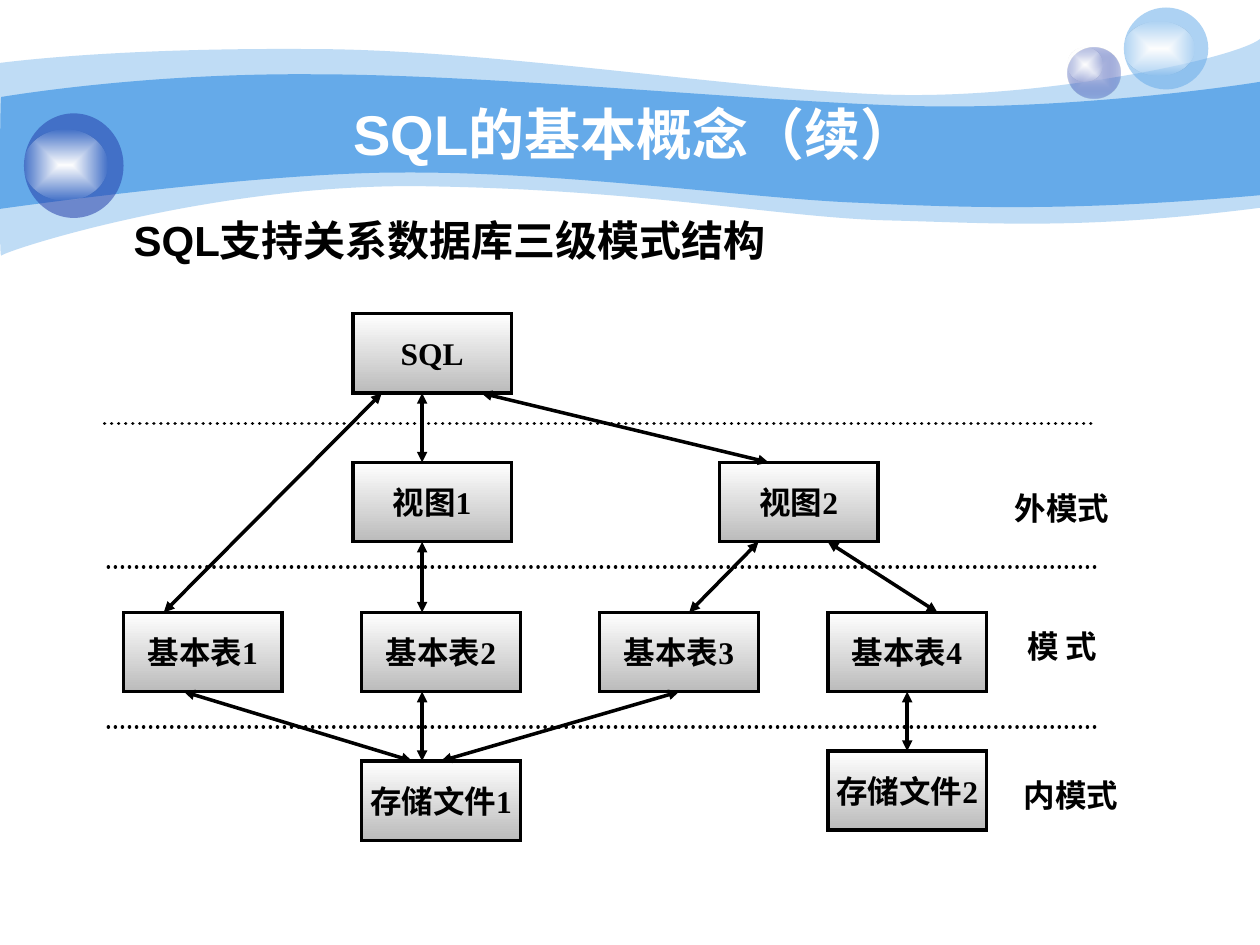
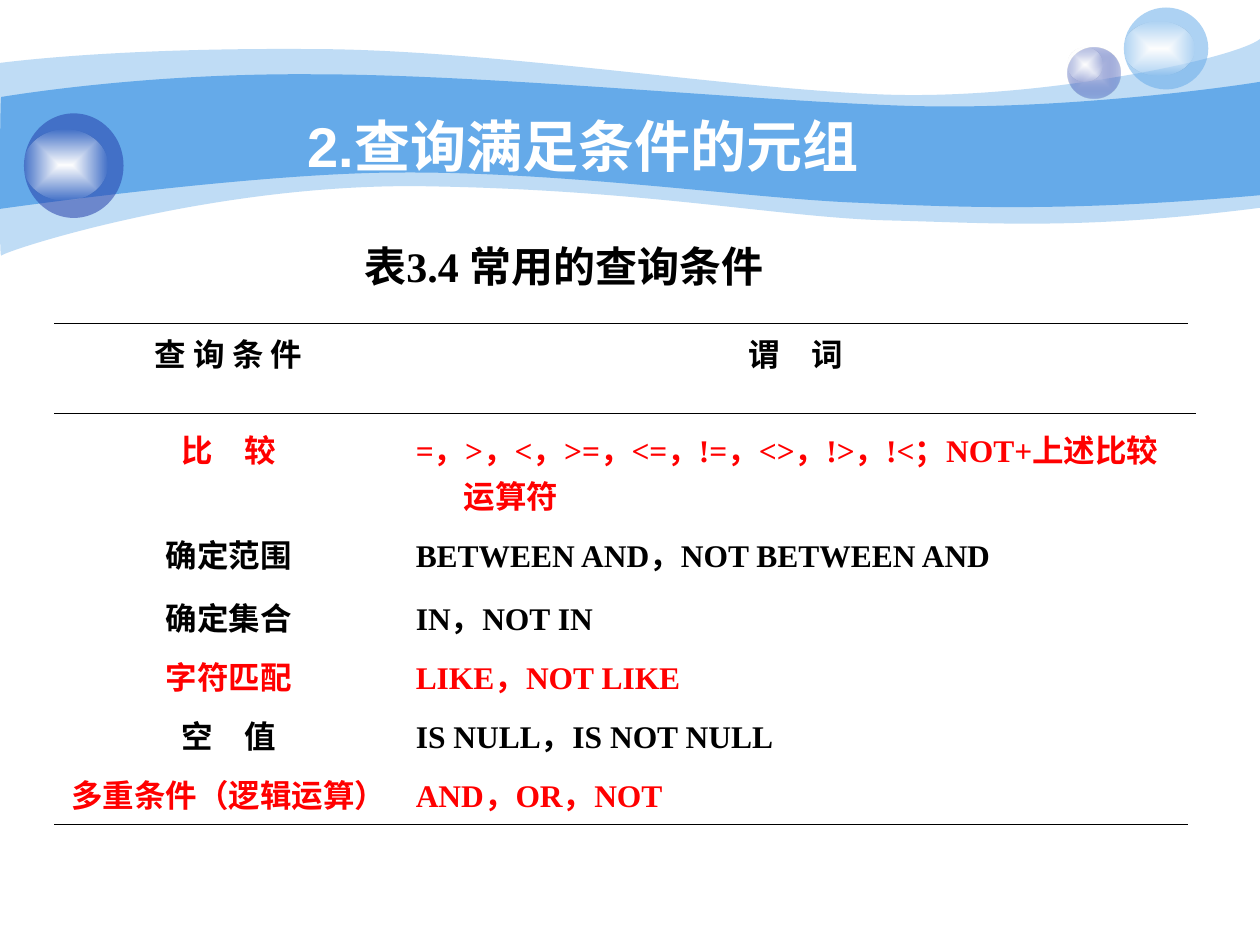
import pptx
import pptx.util
import pptx.dml.color
import pptx.enum.dml
import pptx.enum.shapes
import pptx.enum.text
import pptx.oxml
import pptx.oxml.ns

PX = 9144  # EMU per px, 100 px to the inch
BLACK, WHITE, RED = "000000", "FFFFFF", "FF0000"
SKY, NAVY, PALE, GREY = "65AAE9", "233DA9", "C7CEE9", "BBBBBB"
SANS, SERIF = "Arial", "Times New Roman"
HANG = 38
CENTER = pptx.enum.text.PP_ALIGN.CENTER
LEFT = pptx.enum.text.PP_ALIGN.LEFT
MIDDLE = pptx.enum.text.MSO_ANCHOR.MIDDLE
TOP = pptx.enum.text.MSO_ANCHOR.TOP
SHAPE = pptx.enum.shapes.MSO_SHAPE

# Bands: a start point, then cubic curves (six numbers) and lines (two)
WIDE_BAND = [
    (0, 50), (24, 47, 107, 38, 247, 39), (386, 39, 575, 70, 699, 75),
    (822, 80, 980, 47, 1000, 31), (1000, 165), (858, 183, 787, 177, 705, 175),
    (622, 173, 515, 151, 343, 148), (172, 144, 4, 199, 1, 203),
    (-1, 208, 0, 75, 0, 50)]
INNER_BAND = [
    (1, 77), (2, 77, 110, 58, 248, 59), (386, 59, 595, 80, 718, 84),
    (841, 88, 976, 69, 1000, 65), (1000, 155), (853, 168, 765, 165, 682, 161),
    (599, 158, 447, 136, 317, 137), (203, 137, -2, 166, -1, 166),
    (0, 166, 0, 77, 1, 77)]


def px(*values):
    return [round(v * PX) for v in values]


def rgb(color):
    return pptx.dml.color.RGBColor.from_string(color)


def xml(tag, body="", attrs=""):
    ns = pptx.oxml.ns.nsdecls("a")
    return pptx.oxml.parse_xml(f"<a:{tag} {ns} {attrs}>{body}</a:{tag}>")


def color_xml(color, alpha=100):
    return f'<a:srgbClr val="{color}"><a:alpha val="{alpha * 1000}"/></a:srgbClr>'


def paint(sp, *stops, angle=None):
    """Fill with one (colour, alpha), or a gradient: linear by angle, else from the centre."""
    sp.shadow.inherit = False
    sp.fill.background()
    if len(stops) == 1:
        fill = xml("solidFill", color_xml(*stops[0]))
    else:
        body = "".join(f'<a:gs pos="{pos}">{color_xml(*stop)}</a:gs>'
                       for pos, stop in zip((0, 100000), stops))
        if angle is None:
            way = ('<a:path path="rect"><a:fillToRect l="50000" t="50000" '
                   'r="50000" b="50000"/></a:path>')
        else:
            way = f'<a:lin ang="{angle * 60000}" scaled="0"/>'
        fill = xml("gradFill", f"<a:gsLst>{body}</a:gsLst>{way}")
    spPr = sp._element.spPr
    spPr.replace(spPr.find(pptx.oxml.ns.qn("a:noFill")), fill)


def write(tf, text, size=18, font=SERIF, color=BLACK, align=CENTER, hang=0, spacing=None):
    p = tf.paragraphs[0]
    p.alignment, p.line_spacing = align, spacing
    if hang:
        pPr = p._p.get_or_add_pPr()
        pPr.set("marL", str(hang * PX))
        pPr.set("indent", str(-hang * PX))
    r = p.add_run()
    r.text = text
    look = {"size": pptx.util.Pt(size), "name": font, "bold": True}
    for name, value in look.items():
        setattr(r.font, name, value)
    r.font.color.rgb = rgb(color)


def add_text(s, box, text, wrap=True, anchor=TOP, **style):
    tf = s.shapes.add_textbox(*px(*box)).text_frame
    tf.word_wrap, tf.vertical_anchor = wrap, anchor
    write(tf, text, **style)


def add_line(s, start, end, width=2, dotted=False, arrows=False):
    cx = s.shapes.add_connector(pptx.enum.shapes.MSO_CONNECTOR.STRAIGHT,
                                *px(*start, *end))
    cx.line.color.rgb = rgb(BLACK)
    cx.line.width = pptx.util.Pt(width)
    ln = cx.line._get_or_add_ln()
    if dotted:
        cx.line.dash_style = pptx.enum.dml.MSO_LINE.ROUND_DOT
        ln.set("cap", "rnd")
    if arrows:
        for tag in ("headEnd", "tailEnd"):
            ln.append(xml(tag, attrs='type="triangle"'))
    cx._element.spPr.append(xml("effectLst"))


def add_band(s, outline, alpha):
    """Lay out all nodes as lines, then join each three into one curve."""
    start, *parts = outline
    nodes = [px(*part[i:i + 2]) for part in parts for i in range(0, len(part), 2)]
    fb = s.shapes.build_freeform(*px(*start))
    fb.add_line_segments(nodes, close=True)
    sp = fb.convert_to_shape()
    lines = iter(list(sp._element.iter(pptx.oxml.ns.qn("a:lnTo"))))
    for part in parts:
        steps = [next(lines) for _ in range(len(part) // 2)]
        if len(steps) == 3:
            curve = xml("cubicBezTo")
            steps[0].addprevious(curve)
            for step in steps:
                curve.append(step[0])
                step.getparent().remove(step)
    paint(sp, (SKY, alpha))
    sp.line.fill.background()


def add_sphere(s, box, glow, *stops):
    """A ball and its highlight; glow is top offset, width and height."""
    left, top, width, height = box
    dy, glow_w, glow_h = glow
    parts = [((left, top, width, height), stops),
             ((left, top + dy, glow_w, glow_h), ((WHITE, 100), (WHITE, 0)))]
    for place, fill in parts:
        sp = s.shapes.add_shape(SHAPE.OVAL, *px(*place))
        paint(sp, *fill)
        sp.line.fill.background()


def add_titled_slide(prs, title, left, top):
    """Shared bands, spheres and title."""
    s = prs.slides.add_slide(prs.slide_layouts[6])
    add_band(s, WIDE_BAND, 41)
    add_band(s, INNER_BAND, 100)
    add_sphere(s, (847, 38, 42, 40), (0, 28, 27), (PALE, 100), (NAVY, 31))
    add_sphere(s, (892, 6, 67, 65), (11, 56, 43), (SKY, 53))
    add_sphere(s, (19, 90, 79, 83), (13, 66, 56), (NAVY, 53))
    add_text(s, (left, top, 808, 62), title, anchor=MIDDLE,
             size=32, font=SANS, color=WHITE)
    return s


def add_schema_diagram(s, left, top):
    """Three-level schema: nodes, links, dividers and level names."""
    node_w, node_h = 126, 63
    nodes = {
        "SQL": (197, 0), "视图1": (197, 118), "视图2": (488, 118),
        "基本表1": (15, 237), "基本表2": (204, 237),
        "基本表3": (393, 237), "基本表4": (574, 237),
        "存储文件1": (204, 355), "存储文件2": (574, 347)}
    # Upper node, offset along its bottom, lower node, offset along its top
    links = [
        ("SQL", 23, "基本表1", 32), ("SQL", 55, "视图1", 55),
        ("视图1", 55, "基本表2", 48), ("基本表2", 48, "存储文件1", 48),
        ("SQL", 102, "视图2", 39), ("视图2", 31, "基本表3", 71),
        ("视图2", 86, "基本表4", 87), ("基本表1", 48, "存储文件1", 40),
        ("基本表3", 63, "存储文件1", 63), ("基本表4", 63, "存储文件2", 63)]
    dividers = [(0, 87), (3, 201), (3, 328)]
    levels = [("外模式", 701, 134), ("模 式", 701, 244), ("内模式", 708, 362)]

    for name, (x, y) in nodes.items():
        sp = s.shapes.add_shape(SHAPE.RECTANGLE,
                                *px(left + x, top + y, node_w, node_h))
        paint(sp, (WHITE, 100), (GREY, 100), angle=90)
        sp.line.color.rgb = rgb(BLACK)
        sp.line.width = pptx.util.Pt(2)
        sp.line._get_or_add_ln().append(xml("miter", attrs='lim="800000"'))
        tf = sp.text_frame
        tf.word_wrap, tf.vertical_anchor = False, MIDDLE
        write(tf, name, hang=HANG)
    for upper, dx1, lower, dx2 in links:
        (x1, y1), (x2, y2) = nodes[upper], nodes[lower]
        add_line(s, (left + x1 + dx1, top + y1 + node_h),
                 (left + x2 + dx2, top + y2), arrows=True)
    for x, y in dividers:
        add_line(s, (left + x, top + y), (left + x + 788, top + y), dotted=True)
    for name, x, y in levels:
        add_text(s, (left + x, top + y, 118, 40), name, hang=HANG)


def add_predicate_table(s, left, top):
    """Query conditions and their predicates, with the rule under the header."""
    col_widths = [277, 623]
    rows = [
        (76, BLACK, "查 询 条 件", "谓　词"),
        (83, RED, "比　较", "=，>，<，>=，<=，!=，<>，!>，!<；NOT+上述比较运算符"),
        (50, BLACK, "确定范围", "BETWEEN AND，NOT BETWEEN AND"),
        (47, BLACK, "确定集合", "IN，NOT IN"),
        (47, RED, "字符匹配", "LIKE，NOT LIKE"),
        (47, BLACK, "空　值", "IS NULL，IS NOT NULL"),
        (47, RED, "多重条件（逻辑运算）", "AND，OR，NOT")]
    edges = {0: "lnT", len(rows) - 1: "lnB"}
    size = (sum(col_widths), sum(row[0] for row in rows))
    frame = s.shapes.add_table(len(rows), 2, *px(left, top, *size))
    table = frame.table
    for flag in ("first_row", "horz_banding"):
        setattr(table, flag, False)
    style = table._tbl.tblPr.find(pptx.oxml.ns.qn("a:tableStyleId"))
    style.text = "{2D5ABB26-0587-4C30-8999-92F81FD0307C}"  # no style, no grid
    for col, width in zip(table.columns, col_widths):
        col.width = width * PX
    for i, (height, color, *texts) in enumerate(rows):
        table.rows[i].height = height * PX
        for j, text in enumerate(texts):
            cell = table.cell(i, j)
            cell.fill.background()
            align = LEFT if i and j else CENTER
            write(cell.text_frame, text, color=color, align=align, hang=HANG)
            if i in edges:
                line = xml(edges[i], f"<a:solidFill>{color_xml(BLACK)}</a:solidFill>",
                           'w="5715"')
                cell._tc.get_or_add_tcPr().insert(0, line)
    add_line(s, (left, top + 71), (left + 906, top + 71), width=0.75)


def main():
    prs = pptx.Presentation()
    prs.slide_width, prs.slide_height = px(1000, 750)

    s = add_titled_slide(prs, "SQL的基本概念（续）", 100, 75)
    add_schema_diagram(s, 83, 249)
    add_text(s, (92, 149, 530, 66), "SQL支持关系数据库三级模式结构",
             wrap=False, size=24, font=SANS, spacing=1.4)

    s = add_titled_slide(prs, "2.查询满足条件的元组", 59, 84)
    add_predicate_table(s, 43, 257)
    add_text(s, (234, 186, 427, 50), "表3.4 常用的查询条件",
             wrap=False, size=24, hang=HANG)

    prs.save("out.pptx")


if __name__ == "__main__":
    main()
